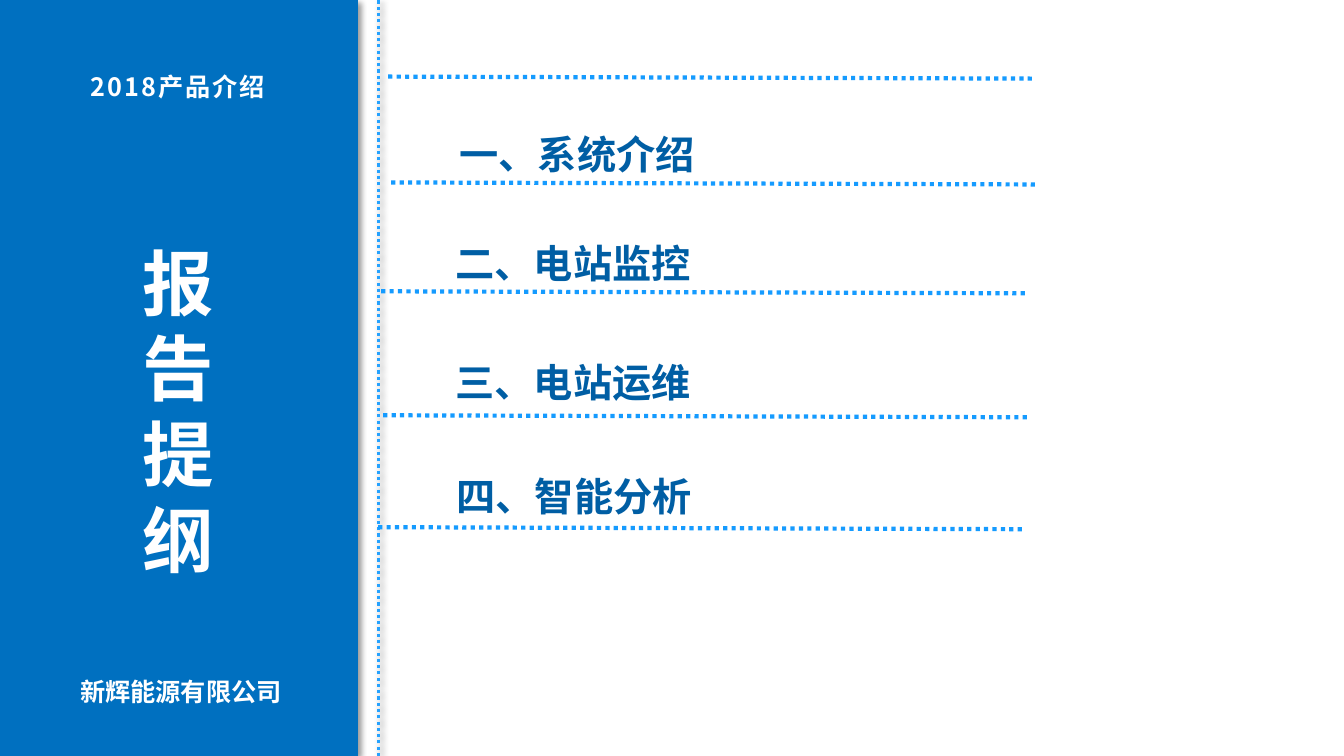
from lxml import etree
from pptx import Presentation
from pptx.dml.color import RGBColor
from pptx.enum.dml import MSO_LINE
from pptx.enum.shapes import MSO_CONNECTOR, MSO_SHAPE
from pptx.enum.text import MSO_AUTO_SIZE, PP_ALIGN
from pptx.oxml.ns import qn
from pptx.util import Inches, Pt

STRAIGHT, RECT = MSO_CONNECTOR.STRAIGHT, MSO_SHAPE.RECTANGLE
GROW = MSO_AUTO_SIZE.SHAPE_TO_FIT_TEXT
LEFT, CENTER = PP_ALIGN.LEFT, PP_ALIGN.CENTER
DOTS = MSO_LINE.ROUND_DOT  # written as sysDot
SC, JP = "Noto Sans CJK SC", "Noto Sans CJK JP"
WHITE, PANEL, HEADING = "FFFFFF", "0070C0", "005EA4"
RULE, DIVIDER = "159BFF", "25A2FF"


def rgb(value):
    return RGBColor.from_string(value)


def set_effects(shape, shadow):
    """Give the shape a soft shadow, or an empty effect list."""
    effects = etree.SubElement(shape._element.spPr, qn("a:effectLst"))
    if shadow:
        outer = etree.SubElement(effects, qn("a:outerShdw"), blurRad=str(Pt(4)),
                                 dist=str(Pt(3)), dir=str(45 * 60000),
                                 algn="tl", rotWithShape="0")
        color = etree.SubElement(outer, qn("a:srgbClr"), val="000000")
        etree.SubElement(color, qn("a:alpha"), val="40000")


def add_dotted_line(slide, start, end, color, width, shadow=False):
    line = slide.shapes.add_connector(STRAIGHT, *map(Inches, start + end))
    line.line.color.rgb = rgb(color)
    line.line.width = Pt(width)
    line.line.dash_style = DOTS
    set_effects(line, shadow)


def add_text(slide, box, lines, size, font, color, align=CENTER, spacing=1.0,
             wrap=True, insets=(0.1, 0.05), tracking=None):
    tf = slide.shapes.add_textbox(*map(Inches, box)).text_frame
    side, end = map(Inches, insets)
    frame_format = {"margin_left": side, "margin_right": side,
                    "margin_top": end, "margin_bottom": end,
                    "word_wrap": wrap, "auto_size": GROW}
    for name, value in frame_format.items():
        setattr(tf, name, value)
    for i, text in enumerate(lines):
        p = tf.add_paragraph() if i else tf.paragraphs[0]
        p.alignment, p.line_spacing = align, spacing
        r = p.add_run()
        r.text = text
        for name, value in {"size": Pt(size), "bold": True, "name": font}.items():
            setattr(r.font, name, value)
        r.font.color.rgb = rgb(color)
        props = r.font._element
        etree.SubElement(props, qn("a:ea"), typeface=font)
        if tracking:
            props.set("spc", str(round(tracking * 100)))


def add_side_panel(slide, left, top, width, height):
    panel = slide.shapes.add_shape(RECT, *map(Inches, (left, top, width, height)))
    panel.fill.solid()
    panel.fill.fore_color.rgb = rgb(PANEL)
    panel.line.fill.background()
    set_effects(panel, True)

    # Vertical title, then the captions above and below it
    add_text(slide, (left + 0.47, top + 2.32, 2.6, 3.53), "报告提纲",
             51, "Calibri", WHITE)
    add_text(slide, (left, top + 0.6, 3.53, 0.43), ["2018产品介绍"],
             18, SC, WHITE, spacing=1.2, tracking=1.4)
    add_text(slide, (left + 0.18, top + 6.66, 3.23, 0.4), ["新辉能源有限公司"],
             18, JP, WHITE)


def add_agenda(slide, left, top, width, height):
    # Divider along the left edge
    add_dotted_line(slide, (left, top + height), (left, top), DIVIDER, 2.25, True)

    # Rules: offset from the divider, and height
    rules = [(0.1, 0.76), (0.13, 1.81), (0.03, 2.89), (0.05, 4.12), (0, 5.23)]
    for dx, y in rules:
        x = left + dx
        add_dotted_line(slide, (x, top + y), (x + width, top + y + 0.02), RULE, 3)

    # Headings
    headings = [("一、系统介绍", 0.68, 0.99), ("二、电站监控", 0.64, 2.07),
                ("三、电站运维", 0.64, 3.25), ("四、智能分析", 0.65, 4.38)]
    for text, dx, y in headings:
        add_text(slide, (left + dx, top + y, 2.63, 0.84), [text], 28, SC, HEADING,
                 align=LEFT, spacing=1.5, wrap=False, insets=(0.13, 0.07))


def main():
    prs = Presentation()
    prs.slide_width, prs.slide_height = Inches(13.33), Inches(7.5)
    slide = prs.slides.add_slide(prs.slide_layouts[6])
    add_agenda(slide, 3.75, 0, 6.4, 7.5)
    add_side_panel(slide, 0, 0, 3.55, 7.5)
    prs.save("out.pptx")


if __name__ == "__main__":
    main()
